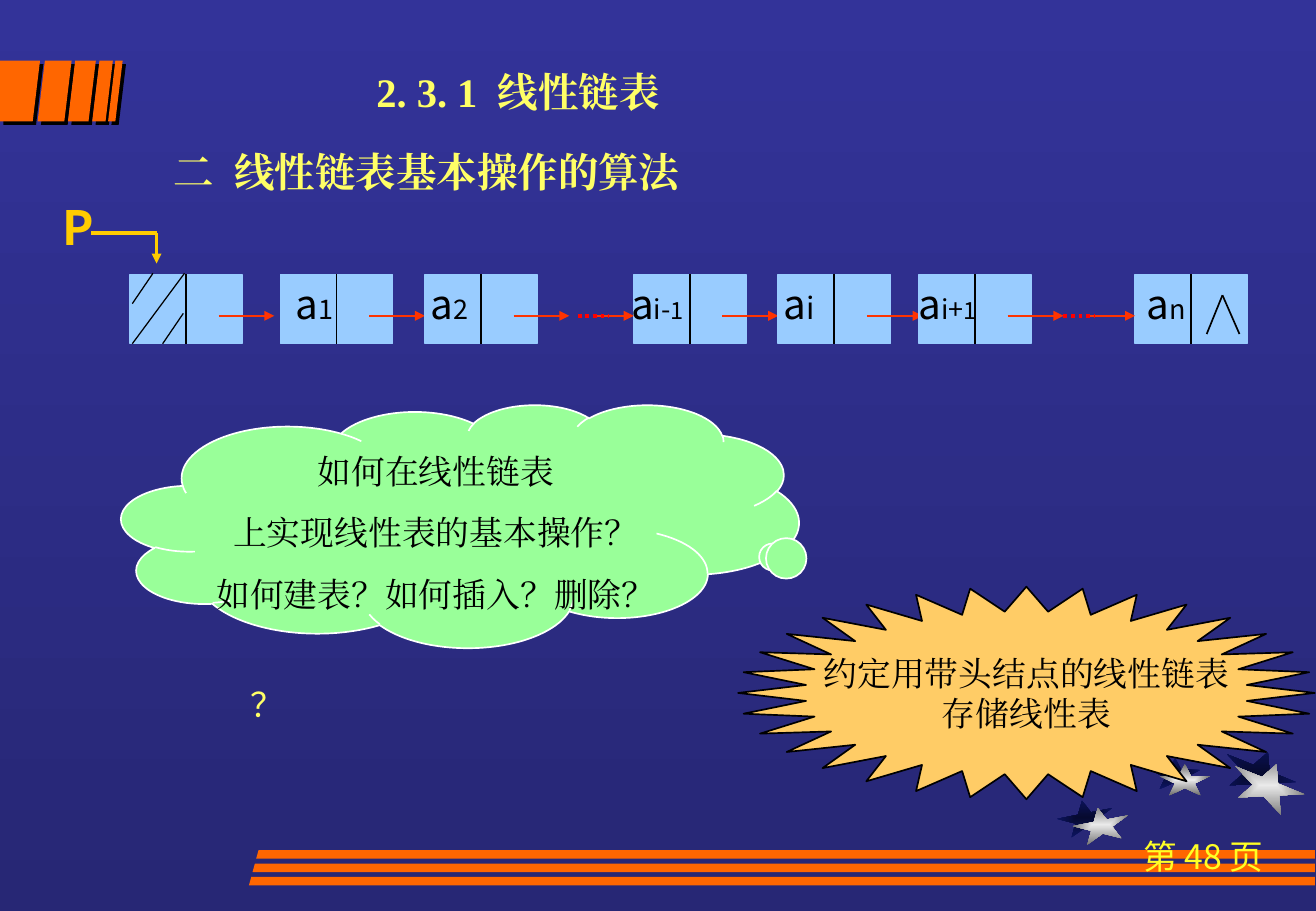
from lxml.etree import SubElement
from pptx import Presentation
from pptx.dml.color import RGBColor
from pptx.enum.dml import MSO_LINE
from pptx.enum.shapes import MSO_CONNECTOR, MSO_SHAPE
from pptx.enum.text import MSO_ANCHOR, MSO_AUTO_SIZE, PP_ALIGN
from pptx.oxml.ns import qn
from pptx.util import Inches, Pt

COLORS = {
    "top": "333399", "bottom": "272775", "orange": "FF6600", "black": "000000",
    "node": "99CCFF", "arrow": "FF3300", "dots": "FF0000", "head": "FFCC00",
    "heading": "FFFF66", "page": "FFFF25", "cloud": "99FF99", "white": "FFFFFF",
    "burst": "FFCC66", "dark": "060A2F", "navy": "0D1565", "silver": "EAEAEA", "gray": "6C6C6C",
}
SANS, SERIF = "Noto Sans CJK SC", "Times New Roman"
TITLE = ("2. 3. 1\t线性链表", 1.25)
SECTION = ("二\t线性链表基本操作的算法", 0.57)
QUESTIONS = ["如何在线性链表", "上实现线性表的基本操作？", "如何建表？如何插入？删除？"]
AGREEMENT = ["约定用带头结点的线性链表", "存储线性表"]
NODES = [
    (1.07, 0, []),
    (2.31, 0.03, [("a", 24), ("1", 16)]),
    (3.5, -0.05, [("a", 24), ("2", 16)]),
    (5.22, -0.12, [("a", 24), ("i-", 16), ("1", 14)]),
    (6.41, -0.05, [("a", 24), ("i", 18)]),
    (7.57, -0.1, [("a", 24), ("i+", 16), ("1", 14)]),
    (9.35, 0, [("a", 24), ("n", 16)]),
]
GAPS = [(4.76, 4.89, 5.22), (8.76, 8.96, 9.35)]
NODE_W, NODE_H, NODE_Y, LINK_Y = 0.925, 0.57, 2.26, 2.6
HATCH = [(1.52, 2.25, 1.09, 2.83), (1.26, 2.25, 1.09, 2.5), (1.51, 2.58, 1.34, 2.83)]
SLASHES = [(0, 0.33), (0.37, 0.59), (0.62, 0.79), (0.82, 0.93), (0.95, 1.01)]
STARS = [
    ("dark", "navy", [(8.71, 6.59, 0.46, 0.28, -11), (9.47, 6.24, 0.42, 0.26, 0),
                      (10.07, 6.18, 0.61, 0.37, 22)]),
    ("silver", "gray", [(8.84, 6.65, 0.46, 0.28, -11), (9.55, 6.29, 0.42, 0.26, 0),
                        (10.14, 6.28, 0.61, 0.37, 22)]),
]

prs = Presentation()
prs.slide_width, prs.slide_height = Inches(10.84), Inches(7.5)
s = prs.slides.add_slide(prs.slide_layouts[1])


def rgb(name):
    return RGBColor.from_string(COLORS[name])


def place(sp, x, y, w, h):
    sp.left, sp.top, sp.width, sp.height = (Inches(v) for v in (x, y, w, h))


def paint(sp, fill, line=None):
    sp.shadow.inherit = False
    sp.fill.solid()
    sp.fill.fore_color.rgb = rgb(fill)
    if line:
        sp.line.color.rgb = rgb(line)
        sp.line.width = Pt(1)
    else:
        sp.line.fill.background()


def shape(kind, x, y, w, h, fill, line=None):
    sp = s.shapes.add_shape(kind, *(Inches(v) for v in (x, y, w, h)))
    paint(sp, fill, line)
    return sp


def polygon(points):
    pts = [(Inches(x), Inches(y)) for x, y in points]
    fb = s.shapes.build_freeform(*pts[0])
    fb.add_line_segments(pts[1:], close=True)
    sp = fb.convert_to_shape()
    paint(sp, "orange")
    return sp


def line(x1, y1, x2, y2, color, width=1, arrow=False):
    c = s.shapes.add_connector(MSO_CONNECTOR.STRAIGHT, *(Inches(v) for v in (x1, y1, x2, y2)))
    c.line.color.rgb = rgb(color)
    c.line.width = Pt(width)
    if arrow:
        SubElement(c.line._get_or_add_ln(), qn("a:tailEnd"), type="triangle")
    SubElement(c._element.spPr, qn("a:effectLst"))
    return c


def style(p, font, size, color, bold=False):
    for r in p.runs:
        r.font.name, r.font.size, r.font.bold = font, Pt(size), bold
        r.font.color.rgb = rgb(color)
        SubElement(r._r.get_or_add_rPr(), qn("a:ea"), typeface=font)


def write(sp, lines, font, size, color, align=PP_ALIGN.LEFT, bold=False, gap=0, wrap=True):
    tf = sp.text_frame
    tf.word_wrap = wrap
    for i, text in enumerate(lines):
        p = tf.paragraphs[0] if i == 0 else tf.add_paragraph()
        p.text = text
        p.alignment = align
        p.space_before = Pt(gap if i else 0)
        style(p, font, size, color, bold)


def textbox(x, y, w, h, *args, **kwargs):
    sp = s.shapes.add_textbox(*(Inches(v) for v in (x, y, w, h)))
    write(sp, *args, **kwargs)
    return sp


def heading(sp, content, box, anchor, spacing):
    text, stop = content
    place(sp, *box)
    write(sp, [text], SERIF, 24, "heading", bold=True)
    sp.text_frame.vertical_anchor = anchor
    sp.text_frame.auto_size = MSO_AUTO_SIZE.NONE
    p = sp.text_frame.paragraphs[0]
    p.line_spacing = spacing
    pPr = p._p.get_or_add_pPr()
    pPr.set("marL", "0")
    pPr.set("indent", "0")
    SubElement(pPr, qn("a:buNone"))
    tabs = SubElement(pPr, qn("a:tabLst"))
    SubElement(tabs, qn("a:tab"), pos=str(Inches(stop)), algn="l")


bg = s.background.fill
bg.gradient()
bg.gradient_angle = 270
for stop, name in zip(bg.gradient_stops, ("top", "bottom")):
    stop.color.rgb = rgb(name)

for inner, outer, boxes in STARS:
    for x, y, w, h, turn in boxes:
        sp = shape(MSO_SHAPE.STAR_5_POINT, x, y, w, h, inner)
        sp.rotation = turn
        sp.fill.gradient()
        for stop, name in zip(sp.fill.gradient_stops, (inner, outer)):
            stop.color.rgb = rgb(name)
        grad = sp._element.spPr.find(qn("a:gradFill"))
        grad.remove(grad.find(qn("a:lin")))
        center = SubElement(grad, qn("a:path"), path="rect")
        SubElement(center, qn("a:fillToRect"), l="50000", t="50000", r="50000", b="50000")

for left, right in SLASHES:
    sp = polygon([(left, 0.5), (right, 0.5), (right - 0.06, 1), (max(left - 0.06, 0), 1)])
    effects = sp._element.spPr.find(qn("a:effectLst"))
    shadow = SubElement(effects, qn("a:outerShdw"), dist=str(Pt(2.8)), dir="2700000", algn="ctr")
    SubElement(shadow, qn("a:srgbClr"), val=COLORS["black"])

for i in range(3):
    x, y = 2.13 - 0.03 * i, 7 + 0.11 * i
    polygon([(x, y), (10.83, y), (10.83, y + 0.07), (x - 0.02, y + 0.07)])

textbox(9, 6.83, 1.83, 0.5, ["第 48 页"], SANS, 20, "page", PP_ALIGN.CENTER)
heading(s.shapes.title, TITLE, (3, 0.5, 3.92, 0.5), MSO_ANCHOR.MIDDLE, 1)
heading(s.placeholders[1], SECTION, (1.33, 1.08, 8.75, 0.6), MSO_ANCHOR.TOP, 1.2)

for i, (x, shift, runs) in enumerate(NODES):
    shape(MSO_SHAPE.RECTANGLE, x, NODE_Y, NODE_W, NODE_H, "node", "node")
    middle = x + NODE_W / 2
    line(middle, NODE_Y, middle, NODE_Y + NODE_H, "black")
    if i < len(NODES) - 1:
        line(x + 0.73, LINK_Y, x + 1.19, LINK_Y, "arrow", arrow=True)
    if runs:
        sp = textbox(x + shift, 2.25, 0.9, 0.5, [""], SANS, 24, "black")
        p = sp.text_frame.paragraphs[0]
        for text, size in runs:
            r = p.add_run()
            r.text = text
        style(p, SANS, 24, "black")
        for r, (text, size) in zip(p.runs, runs):
            r.font.size = Pt(size)

for dots, start, end in GAPS:
    line(start, LINK_Y, end, LINK_Y, "arrow", arrow=True)
    line(dots, LINK_Y, dots + 0.26, LINK_Y, "dots", 2.25).line.dash_style = MSO_LINE.ROUND_DOT
for foot in (9.94, 10.21):
    line(10.07, 2.43, foot, 2.75, "black")
for ends in HATCH:
    line(*ends, "black", 0.75)
line(0.75, 1.92, 1.29, 1.92, "head", 2.25)
line(1.29, 1.92, 1.29, 2.17, "head", 1.5, arrow=True)
textbox(0.42, 1.58, 1, 0.57, ["P"], SANS, 28, "head", bold=True)

cloud = shape(MSO_SHAPE.CLOUD_CALLOUT, 1, 3.33, 5.58, 2, "cloud", "white")
cloud.adjustments[0], cloud.adjustments[1] = 0.461, 0.128
write(cloud, QUESTIONS, SERIF, 20, "black", PP_ALIGN.CENTER, gap=12.5, wrap=False)
cloud.text_frame.margin_top = Inches(0.25)

textbox(1.08, 5.58, 2.25, 0.58, ["？"], SANS, 20, "heading", PP_ALIGN.CENTER)

burst = shape(MSO_SHAPE.STAR_32_POINT, 6.08, 4.83, 4.75, 1.75, "burst", "black")
burst.adjustments[0] = 0.384
write(burst, AGREEMENT, SERIF, 20, "black", PP_ALIGN.CENTER, wrap=False)

prs.save("out.pptx")
